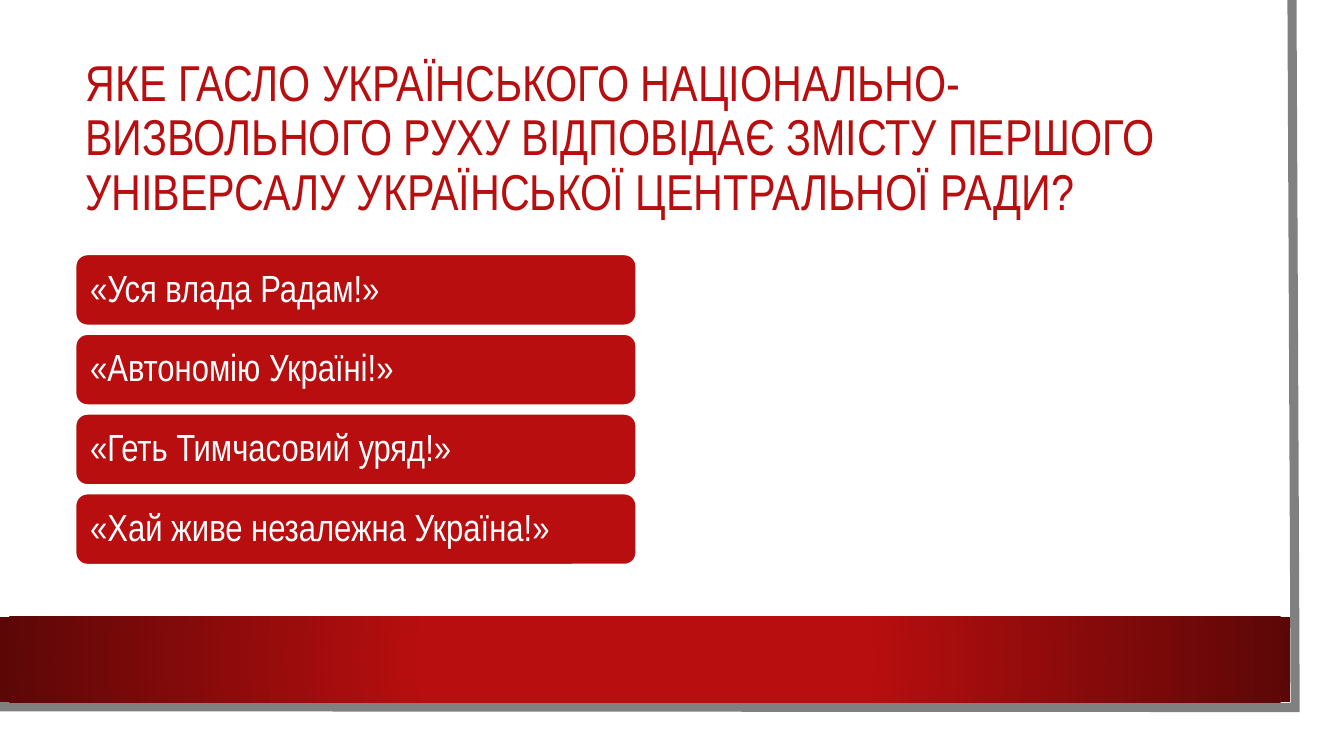
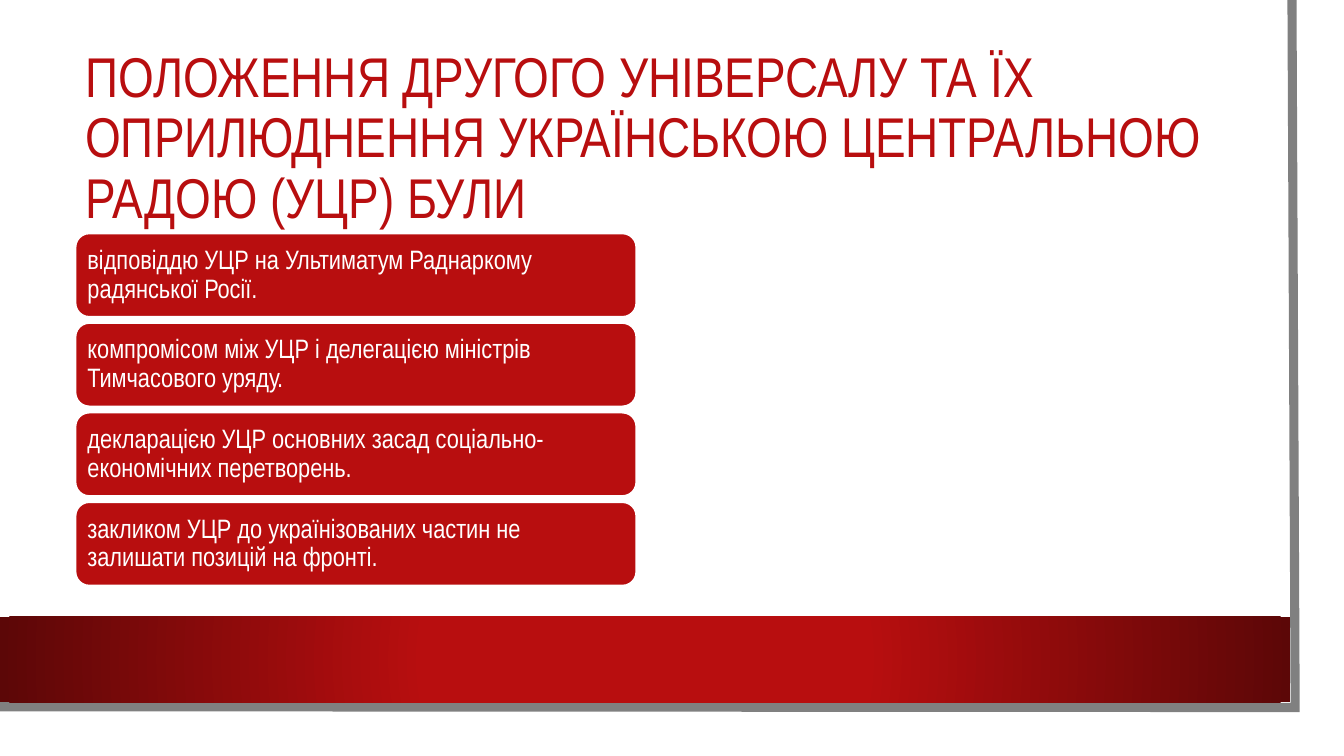
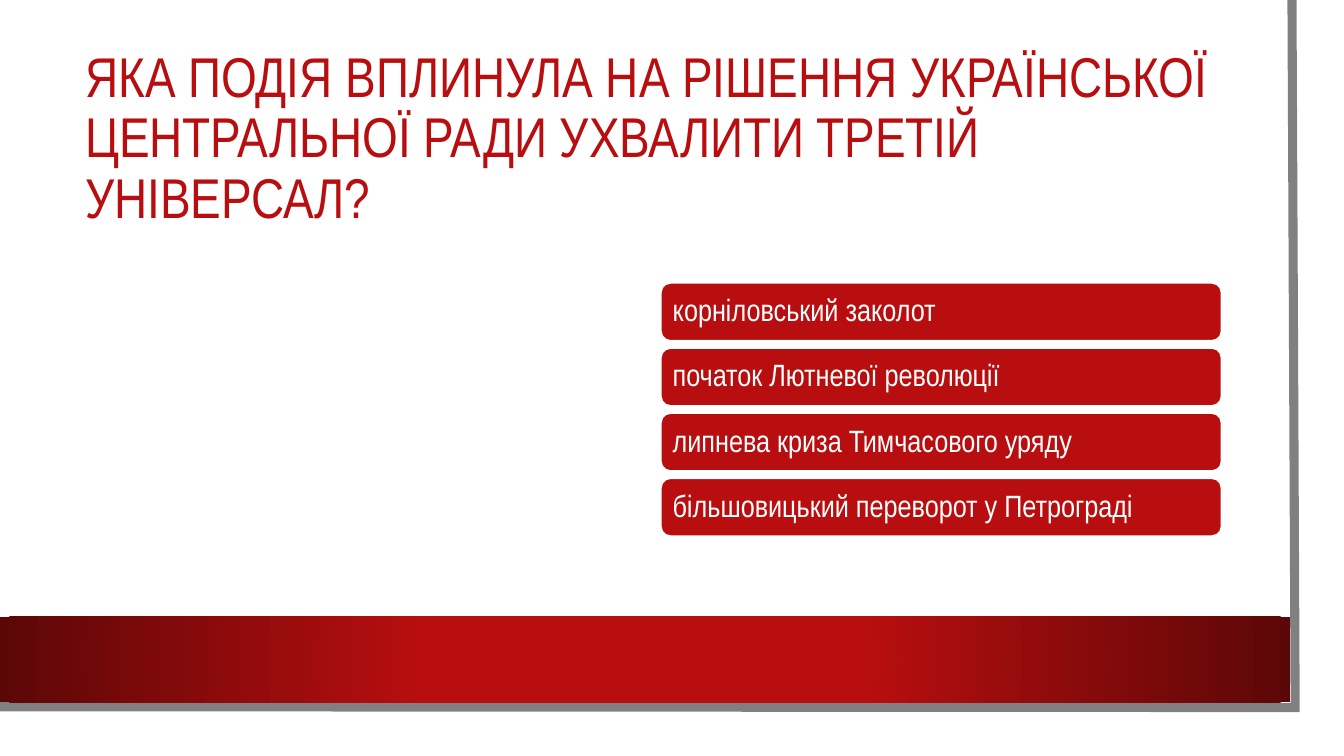
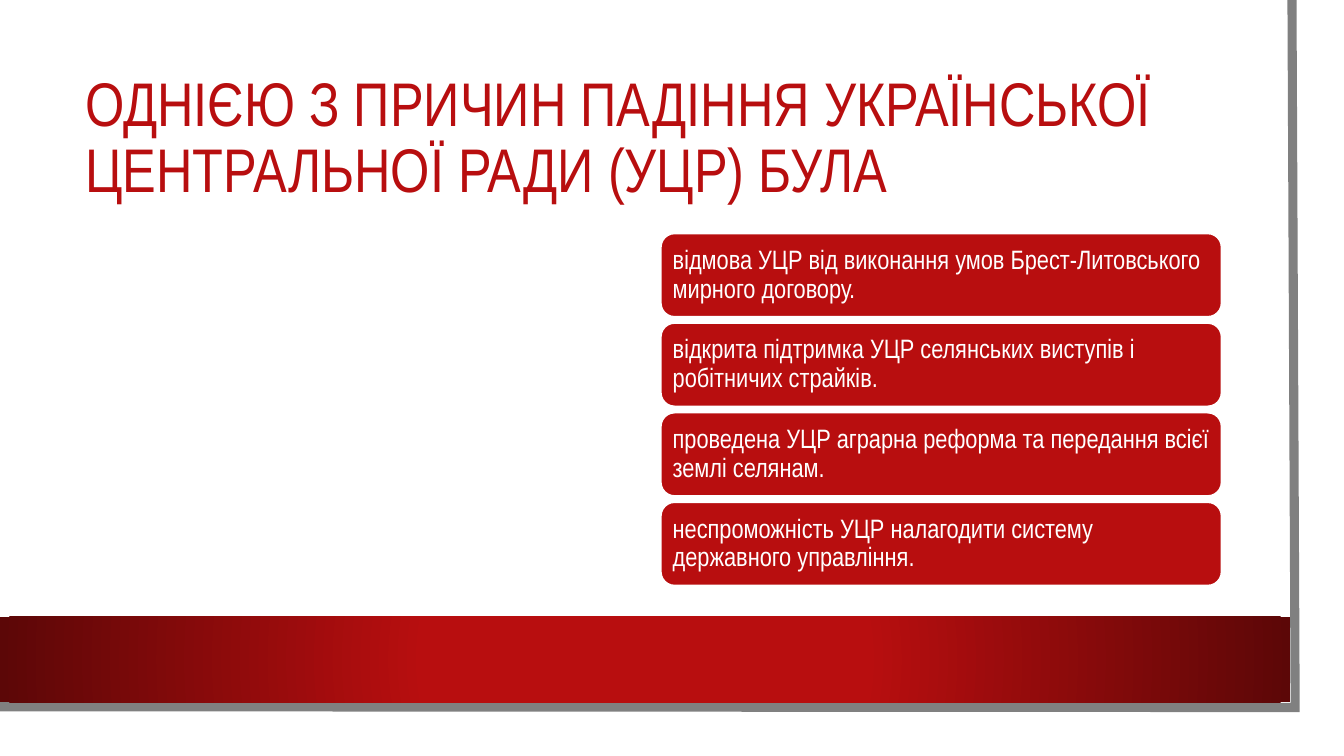
import collections

import lxml.etree
import pptx
import pptx.dml.color
import pptx.enum.shapes
import pptx.enum.text
import pptx.oxml.ns
import pptx.util

Cm = pptx.util.Cm
Pt = pptx.util.Pt
Box = collections.namedtuple("Box", "left top width height")
Question = collections.namedtuple(
    "Question", "title title_size column answer_size answer_height answers"
)


class Theme:
    font = "Arial Narrow"
    red = pptx.dml.color.RGBColor.from_string("B80E0F")
    dark_red = pptx.dml.color.RGBColor.from_string("5C0707")
    grey = pptx.dml.color.RGBColor.from_string("808080")
    white = pptx.dml.color.RGBColor.from_string("FFFFFF")
    frame_width = 6.5
    card_line = 1.5
    line_spacing = 0.9
    gap_ratio = 0.22
    inset_ratio = 0.3


SHEET = Box(Cm(0), Cm(0), Cm(33.27), Cm(18.47))
BAND = Box(Cm(0), Cm(15.54), Cm(32.51), Cm(2.16))
TITLE = Box(Cm(1.9), Cm(1.9), Cm(28.88), Cm(3.23))
LEFT = Box(Cm(1.9), Cm(5.87), Cm(14.14), Cm(8.9))
RIGHT = Box(Cm(16.65), Cm(5.87), Cm(14.14), Cm(8.9))
FRAME_POINTS = [(Cm(32.56), Cm(0)), (Cm(32.64), Cm(17.83)), (Cm(-0.08), Cm(17.81))]

QUESTIONS = [
    Question(
        "ЯКЕ ГАСЛО УКРАЇНСЬКОГО НАЦІОНАЛЬНО-ВИЗВОЛЬНОГО РУХУ ВІДПОВІДАЄ ЗМІСТУ "
        "ПЕРШОГО УНІВЕРСАЛУ УКРАЇНСЬКОЇ ЦЕНТРАЛЬНОЇ РАДИ?",
        36, LEFT, 27, Cm(1.8),
        [
            "«Уся влада Радам!»",
            "«Автономію Україні!»",
            "«Геть Тимчасовий уряд!»",
            "«Хай живе незалежна Україна!»",
        ],
    ),
    Question(
        "ПОЛОЖЕННЯ ДРУГОГО УНІВЕРСАЛУ ТА ЇХ ОПРИЛЮДНЕННЯ УКРАЇНСЬКОЮ "
        "ЦЕНТРАЛЬНОЮ РАДОЮ (УЦР) БУЛИ",
        40, LEFT, 19, Cm(2.11),
        [
            "відповіддю УЦР на Ультиматум Раднаркому радянської Росії.",
            "компромісом між УЦР і делегацією міністрів Тимчасового уряду.",
            "декларацією УЦР основних засад соціально-економічних перетворень.",
            "закликом УЦР до українізованих частин не залишати позицій на фронті.",
        ],
    ),
    Question(
        "ЯКА ПОДІЯ ВПЛИНУЛА НА РІШЕННЯ УКРАЇНСЬКОЇ ЦЕНТРАЛЬНОЇ РАДИ УХВАЛИТИ "
        "ТРЕТІЙ УНІВЕРСАЛ?",
        40, RIGHT, 22, Cm(1.47),
        [
            "корніловський заколот",
            "початок Лютневої революції",
            "липнева криза Тимчасового уряду",
            "більшовицький переворот у Петрограді",
        ],
    ),
    Question(
        "ОДНІЄЮ З ПРИЧИН ПАДІННЯ УКРАЇНСЬКОЇ ЦЕНТРАЛЬНОЇ РАДИ (УЦР) БУЛА",
        44, RIGHT, 19, Cm(2.11),
        [
            "відмова УЦР від виконання умов Брест-Литовського мирного договору.",
            "відкрита підтримка УЦР селянських виступів і робітничих страйків.",
            "проведена УЦР аграрна реформа та передання всієї землі селянам.",
            "неспроможність УЦР налагодити систему державного управління.",
        ],
    ),
]


def apply_format(target, values):
    for name, value in values.items():
        setattr(target, name, value)


def add_plain_shape(page, kind, box, color):
    shape = page.shapes.add_shape(kind, *box)
    shape.shadow.inherit = False
    shape.fill.solid()
    shape.fill.fore_color.rgb = color
    shape.line.fill.background()
    return shape


def write_text(frame, text, size, color, **frame_format):
    apply_format(frame, {
        "word_wrap": True,
        "vertical_anchor": pptx.enum.text.MSO_ANCHOR.MIDDLE,
        **frame_format,
    })
    para = frame.paragraphs[0]
    apply_format(para, {
        "alignment": pptx.enum.text.PP_ALIGN.LEFT,
        "line_spacing": Theme.line_spacing,
    })
    span = para.add_run()
    span.text = text
    apply_format(span.font, {"name": Theme.font, "size": Pt(size)})
    span.font.color.rgb = color


def add_frame(page, points):
    builder = page.shapes.build_freeform(*points[0])
    builder.add_line_segments(points[1:], close=False)
    frame = builder.convert_to_shape()
    frame.shadow.inherit = False
    frame.fill.background()
    frame.line.color.rgb = Theme.grey
    frame.line.width = Pt(Theme.frame_width)
    line = frame.element.spPr.find(pptx.oxml.ns.qn("a:ln"))
    lxml.etree.SubElement(line, pptx.oxml.ns.qn("a:miter"), lim="800000")


def add_band(page, box):
    band = add_plain_shape(page, pptx.enum.shapes.MSO_SHAPE.RECTANGLE, box, Theme.red)
    band.fill.gradient()
    stops = [(0.34, Theme.red), (1, Theme.dark_red)]
    for stop, (position, color) in zip(band.fill.gradient_stops, stops):
        stop.position = position
        stop.color.rgb = color
    gradient = band.element.spPr.find(pptx.oxml.ns.qn("a:gradFill"))
    linear = gradient.find(pptx.oxml.ns.qn("a:lin"))
    radial = lxml.etree.Element(pptx.oxml.ns.qn("a:path"), path="circle")
    center = {side: "50000" for side in "ltrb"}
    lxml.etree.SubElement(radial, pptx.oxml.ns.qn("a:fillToRect"), center)
    gradient.replace(linear, radial)


def add_backdrop(page):
    add_plain_shape(page, pptx.enum.shapes.MSO_SHAPE.RECTANGLE, SHEET, Theme.white)
    add_frame(page, FRAME_POINTS)
    add_band(page, BAND)


def add_title(page, box, text, size):
    title = page.shapes.add_textbox(*box)
    write_text(title.text_frame, text, size, Theme.red)


def add_answers(page, box, answers, size, height):
    gap = Pt(size * Theme.gap_ratio)
    inset = Pt(size * Theme.inset_ratio)
    margins = {"margin_" + side: inset for side in ("left", "top", "right", "bottom")}
    stack = len(answers) * height + (len(answers) - 1) * gap
    first = box.top + (box.height - stack) // 2
    for index, answer in enumerate(answers):
        place = Box(box.left, first + index * (height + gap), box.width, height)
        card = add_plain_shape(
            page, pptx.enum.shapes.MSO_SHAPE.ROUNDED_RECTANGLE, place, Theme.red
        )
        card.line.color.rgb = Theme.white
        card.line.width = Pt(Theme.card_line)
        write_text(card.text_frame, answer, size, Theme.white, **margins)


def add_question(deck, question):
    page = deck.slides.add_slide(deck.slide_layouts[6])
    add_backdrop(page)
    add_title(page, TITLE, question.title, question.title_size)
    add_answers(
        page, question.column, question.answers,
        question.answer_size, question.answer_height,
    )


def main():
    deck = pptx.Presentation()
    apply_format(deck, {"slide_width": Cm(33.87), "slide_height": Cm(19.05)})
    for question in QUESTIONS:
        add_question(deck, question)
    deck.save("out.pptx")


if __name__ == "__main__":
    main()
